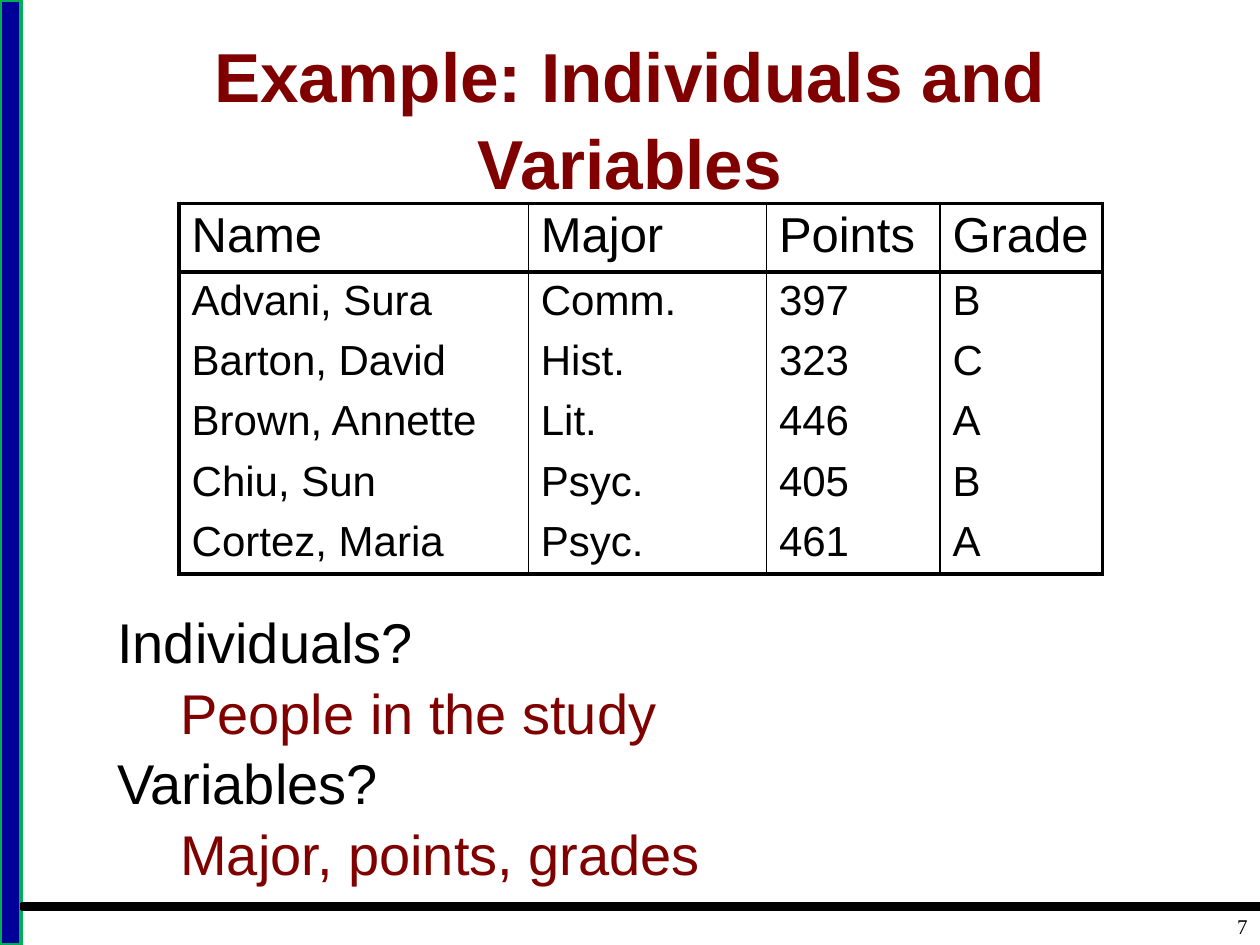
from dataclasses import dataclass

from lxml.etree import SubElement
from pptx import Presentation
from pptx.dml.color import RGBColor
from pptx.enum.shapes import MSO_SHAPE as Shape
from pptx.enum.text import MSO_ANCHOR as Anchor, MSO_AUTO_SIZE as AutoSize, PP_ALIGN as Align
from pptx.oxml.ns import qn
from pptx.util import Cm, Pt

BLACK = RGBColor(0x00, 0x00, 0x00)
MAROON = RGBColor(0x80, 0x00, 0x00)
NAVY = RGBColor(0x00, 0x00, 0x99)
GREEN = RGBColor(0x00, 0xB0, 0x50)

THICK, THIN, NONE = 2.25, 1, 0
COLUMN_WIDTHS = (7.04, 4.8, 3.5, 3.28)
HEADER_HEIGHT, ROW_HEIGHT = 1.37, 1.2
STUDENTS = (
    ("Name", "Major", "Points", "Grade"),
    ("Advani, Sura", "Comm.", "397", "B"),
    ("Barton, David", "Hist.", "323", "C"),
    ("Brown, Annette", "Lit.", "446", "A"),
    ("Chiu, Sun", "Psyc.", "405", "B"),
    ("Cortez, Maria", "Psyc.", "461", "A"),
)


@dataclass
class Box:
    left: float
    top: float
    width: float
    height: float

    def lengths(self) -> tuple:
        return Cm(self.left), Cm(self.top), Cm(self.width), Cm(self.height)


@dataclass
class Bar:
    box: Box
    fill: RGBColor
    line: RGBColor


@dataclass
class Answer:
    question: str
    reply: str


BARS = (
    Bar(Box(0, 0, 0.43, 19.05), NAVY, GREEN),
    Bar(Box(0.43, 18.21, 24.97, 0.13), BLACK, BLACK),
)
ANSWERS = (
    Answer("Individuals?", "People in the study"),
    Answer("Variables?", "Major, points, grades"),
)


def style(p, size: float, color: RGBColor, name: str = "Arial", bold: bool = False) -> None:
    for r in p.runs:
        r.font.size, r.font.name, r.font.bold = Pt(size), name, bold
        r.font.color.rgb = color


def place(sp, box: Box) -> None:
    sp.left, sp.top, sp.width, sp.height = box.lengths()


def draw_bar(slide, bar: Bar) -> None:
    sp = slide.shapes.add_shape(Shape.RECTANGLE, *bar.box.lengths())
    sp.shadow.inherit = False
    sp.fill.solid()
    sp.fill.fore_color.rgb = bar.fill
    sp.line.color.rgb = bar.line
    sp.line.width = Pt(2)


def set_borders(cell, left: float, right: float, top: float, bottom: float) -> None:
    tc_pr = cell._tc.get_or_add_tcPr()
    for side, width in zip("LRTB", (left, right, top, bottom)):
        ln = SubElement(tc_pr, qn(f"a:ln{side}"), w=str(Pt(width)))
        if width:
            fill = SubElement(ln, qn("a:solidFill"))
            SubElement(fill, qn("a:srgbClr"), val=str(BLACK))
        else:
            SubElement(ln, qn("a:noFill"))


def draw_table(slide, left: float, top: float) -> None:
    rows, cols = len(STUDENTS), len(COLUMN_WIDTHS)
    heights = [HEADER_HEIGHT] + [ROW_HEIGHT] * (rows - 1)
    box = Box(left, top, sum(COLUMN_WIDTHS), sum(heights))
    table = slide.shapes.add_table(rows, cols, *box.lengths()).table
    table.first_row = table.horz_banding = False
    for column, width in zip(table.columns, COLUMN_WIDTHS):
        column.width = Cm(width)
    for i, (row, height) in enumerate(zip(table.rows, heights)):
        row.height = Cm(height)
        for j, cell in enumerate(row.cells):
            cell.text = STUDENTS[i][j]
            cell.margin_top = cell.margin_bottom = Cm(0.1)
            style(cell.text_frame.paragraphs[0], 28 if i == 0 else 24, BLACK)
            set_borders(
                cell,
                left=THICK if j == 0 else THIN,
                right=THICK if j == cols - 1 else THIN,
                top=THICK if i <= 1 else NONE,
                bottom=THICK if i in (0, rows - 1) else NONE,
            )
            cell.fill.background()


def fill_title(sp) -> None:
    place(sp, Box(1.27, 0.76, 22.86, 3.18))
    tf = sp.text_frame
    tf.text = "Example: Individuals and Variables"
    tf.auto_size = AutoSize.NONE
    tf.vertical_anchor = Anchor.MIDDLE
    p = tf.paragraphs[0]
    p.alignment = Align.CENTER
    p.line_spacing = 1.05
    style(p, 39.6, MAROON, bold=True)


def fill_answers(sp) -> None:
    place(sp, Box(2.11, 12.06, 15.24, 5.74))
    tf = sp.text_frame
    tf.auto_size = AutoSize.NONE
    lines = [line for a in ANSWERS for line in ((a.question, 0), (a.reply, 1))]
    tf.text = "\n".join(text for text, _ in lines)
    for p, (_, level) in zip(tf.paragraphs, lines):
        p.level = level
        p.space_before = Pt(0)
        p.line_spacing = 1.05
        p_pr = p._p.get_or_add_pPr()
        p_pr.set("marL", str(Cm(1.27 * level)))
        p_pr.set("indent", "0")
        SubElement(p_pr, qn("a:buNone"))
        style(p, 32, MAROON if level else BLACK)


def draw_page_number(slide, number: int) -> None:
    sp = slide.shapes.add_textbox(*Box(24.13, 18.29, 1.27, 0.76).lengths())
    tf = sp.text_frame
    tf.word_wrap = True
    tf.text = str(number)
    tf.paragraphs[0].alignment = Align.RIGHT
    style(tf.paragraphs[0], 12, BLACK, name="Times New Roman")


def main() -> None:
    prs = Presentation()
    prs.slide_width, prs.slide_height = Cm(25.4), Cm(19.05)
    slide = prs.slides.add_slide(prs.slide_layouts[1])
    for bar in BARS:
        draw_bar(slide, bar)
    draw_page_number(slide, 7)
    fill_title(slide.shapes.title)
    draw_table(slide, 3.61, 4.1)
    fill_answers(slide.placeholders[1])
    prs.save("out.pptx")


if __name__ == "__main__":
    main()
